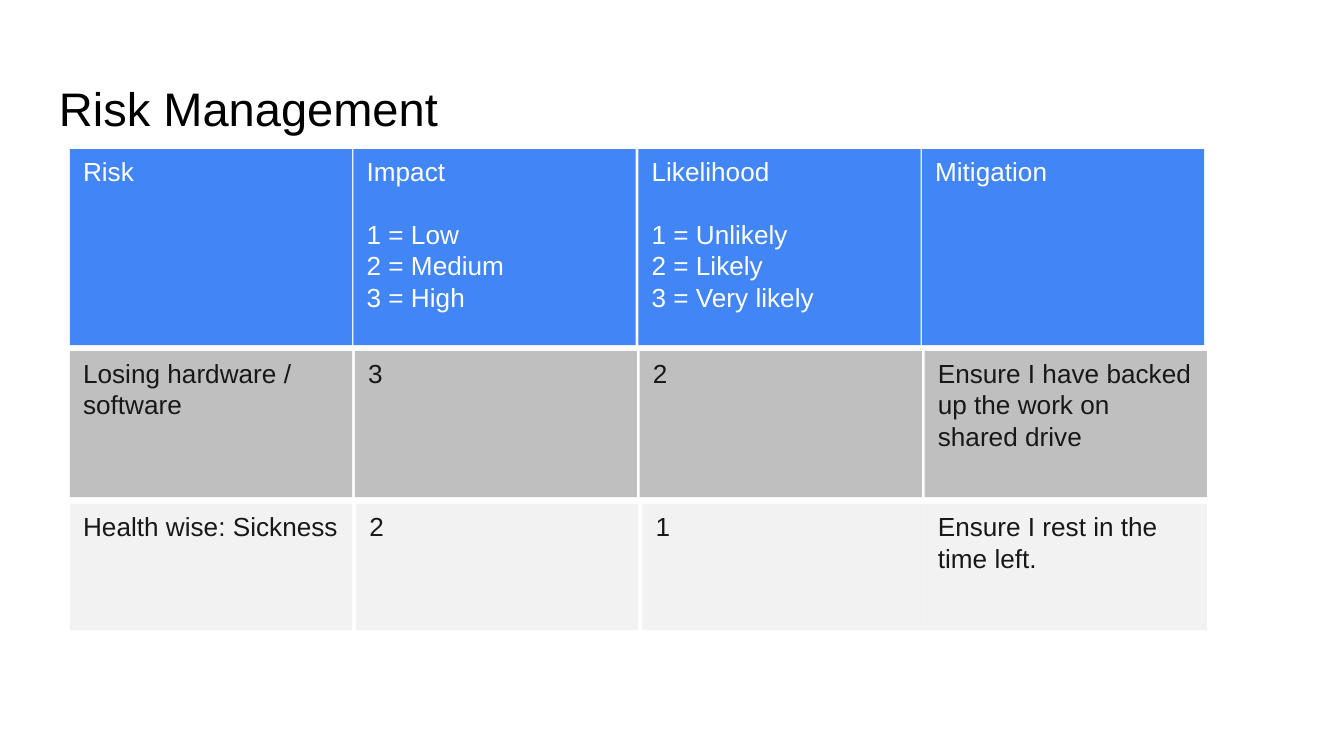
"""Build the risk management slide as a grid of filled cells."""
import pptx
import pptx.dml.color
import pptx.enum.shapes
import pptx.enum.text
import pptx.util

Inches = pptx.util.Inches
Pt = pptx.util.Pt
RGB = pptx.dml.color.RGBColor.from_string
ANCHOR = pptx.enum.text.MSO_ANCHOR

THEME = {
    "font": "Arial", "title_size": 25.2, "cell_size": 14,
    "title": "000000", "header_text": "FFFFFF", "body_text": "181818",
    "header": "4285F4", "dark_row": "BFBFBF", "light_row": "F2F2F2",
}

TITLE = "Risk Management"
ROWS = [
    {"top": 1.11, "height": 1.46, "fill": "header", "color": "header_text",
     "lefts": [0.52, 2.63, 4.75, 6.86],
     "cells": [["Risk"],
               ["Impact", "1 = Low", "2 = Medium", "3 = High"],
               ["Likelihood", "1 = Unlikely", "2 = Likely", "3 = Very likely"],
               ["Mitigation"]]},
    {"top": 2.61, "height": 1.09, "fill": "dark_row", "color": "body_text",
     "lefts": [0.52, 2.64, 4.76, 6.88],
     "cells": [["Losing hardware / software"], ["3"], ["2"],
               ["Ensure I have backed up the work on shared drive"]]},
    {"top": 3.75, "height": 0.94, "fill": "light_row", "color": "body_text",
     "lefts": [0.52, 2.65, 4.78, 6.88],
     "cells": [["Health wise: Sickness"], ["2"], ["1"],
               ["Ensure I rest in the time left."]]},
]
CELL_WIDTH = 2.1
HEADING_GAP = 16.8


def write(sp, lines, size, color, anchor):
    tf = sp.text_frame
    tf.word_wrap = True
    tf.vertical_anchor = anchor
    for i, line in enumerate(lines):
        p = tf.paragraphs[0] if i == 0 else tf.add_paragraph()
        p.alignment = pptx.enum.text.PP_ALIGN.LEFT
        if i == 0 and len(lines) > 1:
            p.space_after = Pt(HEADING_GAP)
        r = p.add_run()
        r.text = line
        r.font.name = THEME["font"]
        r.font.size = Pt(THEME[size])
        r.font.color.rgb = RGB(THEME[color])


def add_cell(s, left, row, lines):
    sp = s.shapes.add_shape(
        pptx.enum.shapes.MSO_SHAPE.RECTANGLE, Inches(left), Inches(row["top"]),
        Inches(CELL_WIDTH), Inches(row["height"]))
    sp.shadow.inherit = False
    sp.fill.solid()
    sp.fill.fore_color.rgb = RGB(THEME[row["fill"]])
    sp.line.fill.background()
    write(sp, lines, "cell_size", row["color"], ANCHOR.TOP)


def main():
    prs = pptx.Presentation()
    prs.slide_width = Inches(10)
    prs.slide_height = prs.slide_width * 9 // 16
    s = prs.slides.add_slide(prs.slide_layouts[6])
    sp = s.shapes.add_textbox(Inches(0.34), Inches(0.49), Inches(9.32), Inches(0.63))
    write(sp, [TITLE], "title_size", "title", ANCHOR.MIDDLE)
    for row in ROWS:
        for left, lines in zip(row["lefts"], row["cells"]):
            add_cell(s, left, row, lines)
    prs.save("out.pptx")


if __name__ == "__main__":
    main()
